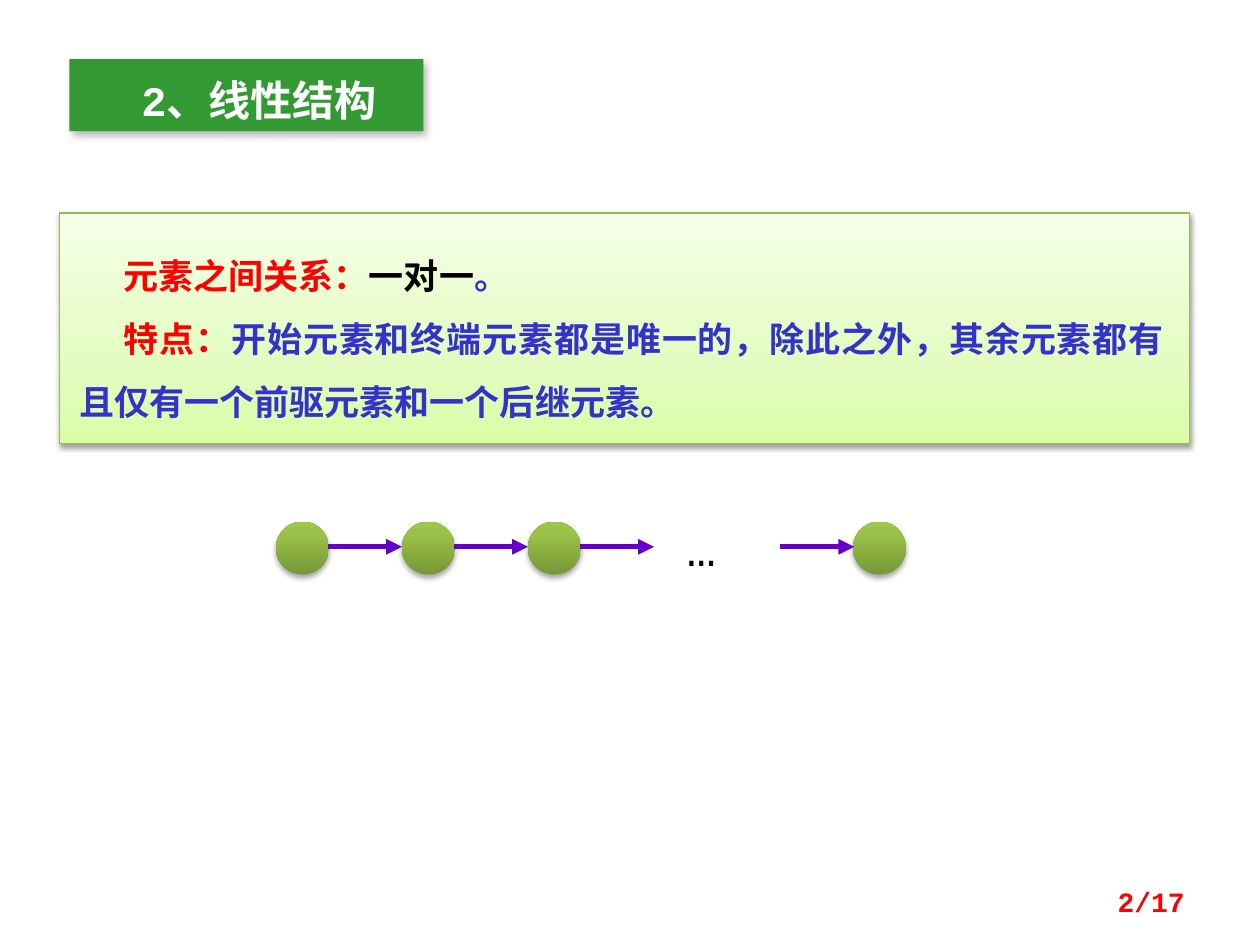
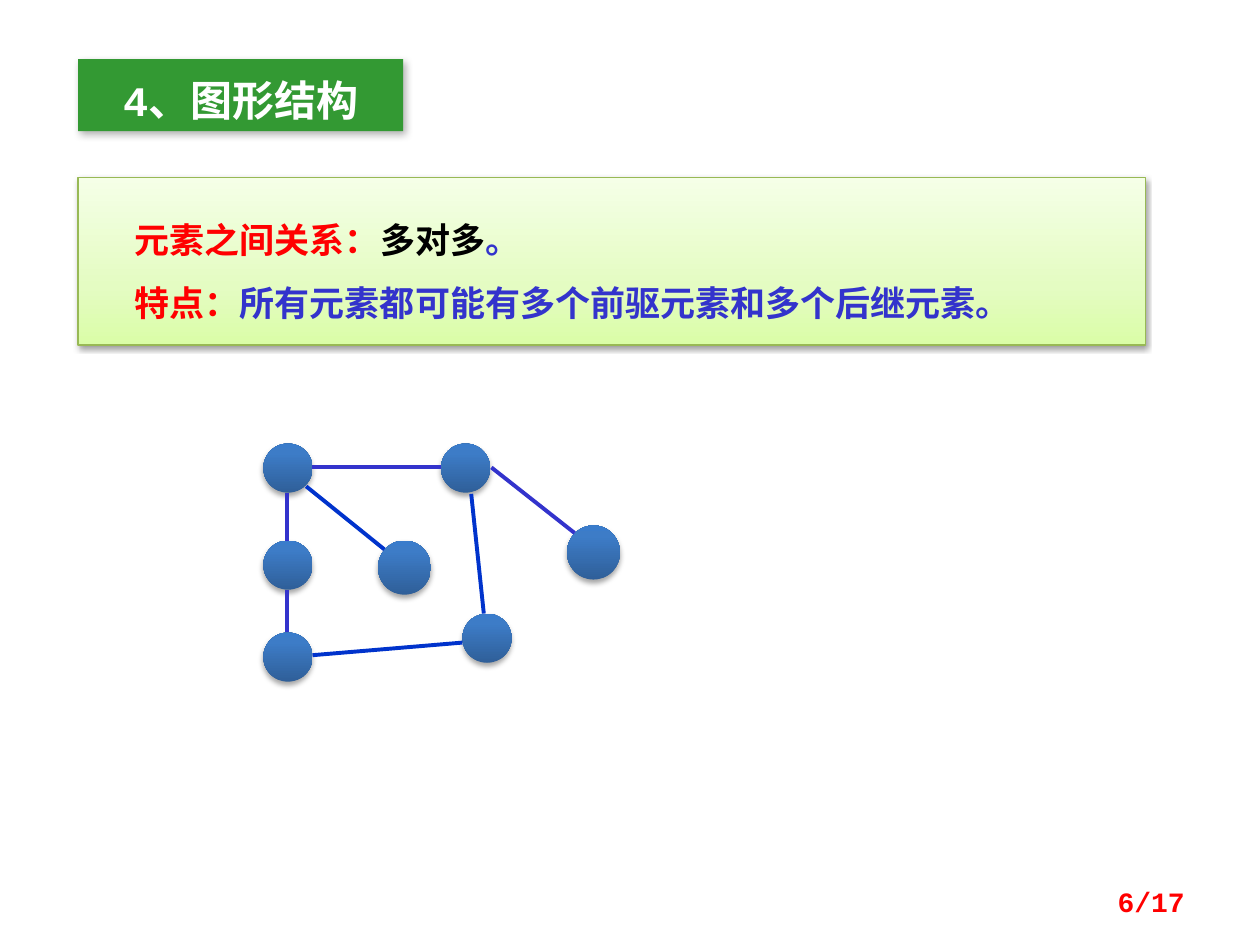
from lxml import etree
from pptx import Presentation
from pptx.dml.color import RGBColor
from pptx.enum.shapes import MSO_CONNECTOR, MSO_SHAPE
from pptx.enum.text import MSO_ANCHOR, PP_ALIGN
from pptx.oxml.ns import qn
from pptx.util import Inches, Pt

RECT, OVAL = MSO_SHAPE.RECTANGLE, MSO_SHAPE.OVAL
STRAIGHT = MSO_CONNECTOR.STRAIGHT
TOP, MIDDLE = MSO_ANCHOR.TOP, MSO_ANCHOR.MIDDLE
LEFT, CENTER, RIGHT = PP_ALIGN.LEFT, PP_ALIGN.CENTER, PP_ALIGN.RIGHT
JUSTIFY = PP_ALIGN.JUSTIFY

FONT = "Courier New"
TOTAL = 17
COLORS = {
    "band": "339933", "white": "FFFFFF", "black": "000000", "red": "FF0000",
    "text": "3333CC", "rim": "98B955", "arrow": "6600CC", "edge": "0033CC",
}
FADES = {
    "panel": [(0, "DAFDA7"), (35, "E4FCC2"), (100, "F5FFE7")],
    "green": [(0, "779737"), (80, "9BC348"), (100, "9DC746")],
    "blue": [(0, "2F5F99"), (80, "3D7CC7"), (100, "3A7CCB")],
}
SHADES = {"panel": (38, 3.1, 1.6, 90), "node": (35, 3.1, 1.8, 90), "band": (30, 4.5, 2.6, 53)}


def rgb(name):
    return RGBColor.from_string(COLORS[name])


def add(parent, tag, **attrs):
    return etree.SubElement(parent, qn(tag), {k: str(v) for k, v in attrs.items()})


class Deck:
    def __init__(self):
        self.prs = Presentation()
        self.prs.slide_width, self.prs.slide_height = Inches(10), Inches(7.5)

    def start(self, title, page, left, width, inset=0.1):
        self.slide = self.prs.slides.add_slide(self.prs.slide_layouts[5])
        band = self.slide.shapes.title
        band.left, band.top = Inches(left), Inches(0.47)
        band.width, band.height = Inches(width), Inches(0.57)
        band.fill.solid()
        band.fill.fore_color.rgb = rgb("band")
        self.shade(band, "band")
        self.frame(band, (inset, 0.12, 0.1, 0.05), TOP)
        self.put(band, title, 24, "white", CENTER, True)
        self.label(f"{page}/{TOTAL}", (7.17, 6.95, 2.33, 0.4), 16, "red", RIGHT, MIDDLE, True)

    def frame(self, shape, insets, anchor):
        frame = shape.text_frame
        frame.word_wrap = True
        frame.vertical_anchor = anchor
        frame.margin_left, frame.margin_top, frame.margin_right, frame.margin_bottom = map(Inches, insets)

    def style(self, para, size, align, bold):
        para.alignment = align
        para.font.name, para.font.size, para.font.bold = FONT, Pt(size), bold

    def put(self, shape, text, size, color, align, bold):
        para = shape.text_frame.paragraphs[0]
        para.text = text
        self.style(para, size, align, bold)
        para.font.color.rgb = rgb(color)

    def label(self, text, area, size, color, align=LEFT, anchor=TOP, bold=False):
        box = self.slide.shapes.add_textbox(*map(Inches, area))
        self.frame(box, (0.1, 0.05, 0.1, 0.05), anchor)
        self.put(box, text, size, color, align, bold)

    def shade(self, shape, kind):
        alpha, blur, dist, angle = SHADES[kind]
        shape.shadow.inherit = False
        effects = shape._element.spPr.find(qn("a:effectLst"))
        outer = add(effects, "a:outerShdw", blurRad=Pt(blur), dist=Pt(dist),
                    dir=angle * 60000, rotWithShape=0)
        tint = add(outer, "a:srgbClr", val=COLORS["black"])
        add(tint, "a:alpha", val=alpha * 1000)

    def fade(self, shape, kind):
        shape.fill.gradient()
        grad = shape._element.spPr.find(qn("a:gradFill"))
        for child in list(grad):
            grad.remove(child)
        stops = add(grad, "a:gsLst")
        for pos, color in FADES[kind]:
            add(add(stops, "a:gs", pos=pos * 1000), "a:srgbClr", val=color)
        add(grad, "a:lin", ang=270 * 60000, scaled=0)

    def panel(self, area, insets, lines):
        box = self.slide.shapes.add_shape(RECT, *map(Inches, area))
        self.fade(box, "panel")
        box.line.color.rgb, box.line.width = rgb("rim"), Pt(0.75)
        self.shade(box, "panel")
        self.frame(box, insets, TOP)
        for i, parts in enumerate(lines):
            frame = box.text_frame
            para = frame.add_paragraph() if i else frame.paragraphs[0]
            self.style(para, 20, JUSTIFY, True)
            para.line_spacing = 1.5
            para._p.get_or_add_pPr().set("indent", str(Inches(0.35)))
            for text, color in parts:
                run = para.add_run()
                run.text = text
                run.font.color.rgb = rgb(color)

    def node(self, left, top, kind, width, height):
        ball = self.slide.shapes.add_shape(OVAL, *map(Inches, (left, top, width, height)))
        self.fade(ball, kind)
        ball.line.fill.background()
        self.shade(ball, "node")

    def line(self, ends, color, width, arrow=False):
        link = self.slide.shapes.add_connector(STRAIGHT, *map(Inches, ends))
        link.line.color.rgb, link.line.width = rgb(color), Pt(width)
        props = link._element.spPr
        if arrow:
            add(props.find(qn("a:ln")), "a:tailEnd", type="triangle")
        add(props, "a:effectLst")


def linear(deck):
    deck.start("2、线性结构", 2, 0.55, 2.81, 0.3)
    deck.panel((0.47, 1.69, 8.97, 1.83), (0.16, 0.16, 0.2, 0.16), [
        [("元素之间关系：", "red"), ("一对一", "black"), ("。", "text")],
        [("特点：", "red"),
         ("开始元素和终端元素都是唯一的，除此之外，其余元素都有且仅有一个前驱元素和一个后继元素。", "text")],
    ])
    for left in (2.19, 3.19, 4.19, 6.77):
        deck.node(left, 4.14, "green", 0.42, 0.42)
    for left in (2.6, 3.6, 4.6, 6.19):
        deck.line((left, 4.34, left + 0.59, 4.34), "arrow", 3, True)
    deck.label("…", (5.35, 4.06, 0.75, 0.57), 28, "black")


def graph(deck):
    deck.start("4、图形结构", 6, 0.62, 2.58)
    deck.panel((0.62, 1.41, 8.47, 1.33), (0.1, 0.16, 0.1, 0.16), [
        [("元素之间关系：", "red"), ("多对多", "black"), ("。", "text")],
        [("特点：", "red"), ("所有元素都可能有多个前驱元素和多个后继元素。", "text")],
    ])
    for left, top in ((2.09, 3.52), (3.5, 3.52), (2.09, 4.29), (3.67, 4.87), (2.09, 5.02)):
        deck.node(left, top, "blue", 0.39, 0.39)
    for left, top in ((3, 4.29), (4.5, 4.17)):
        deck.node(left, top, "blue", 0.42, 0.43)
    edges = {
        "edge": [(2.43, 3.86, 3.05, 4.36), (2.48, 5.2, 3.67, 5.1), (3.74, 3.92, 3.84, 4.87)],
        "text": [(2.28, 3.91, 2.28, 4.29), (2.28, 4.68, 2.28, 5.02),
                 (3.9, 3.71, 4.56, 4.23), (2.48, 3.71, 3.5, 3.71)],
    }
    for color, group in edges.items():
        for ends in group:
            deck.line(ends, color, 2.25)


def main():
    deck = Deck()
    linear(deck)
    graph(deck)
    deck.prs.save("out.pptx")


if __name__ == "__main__":
    main()
